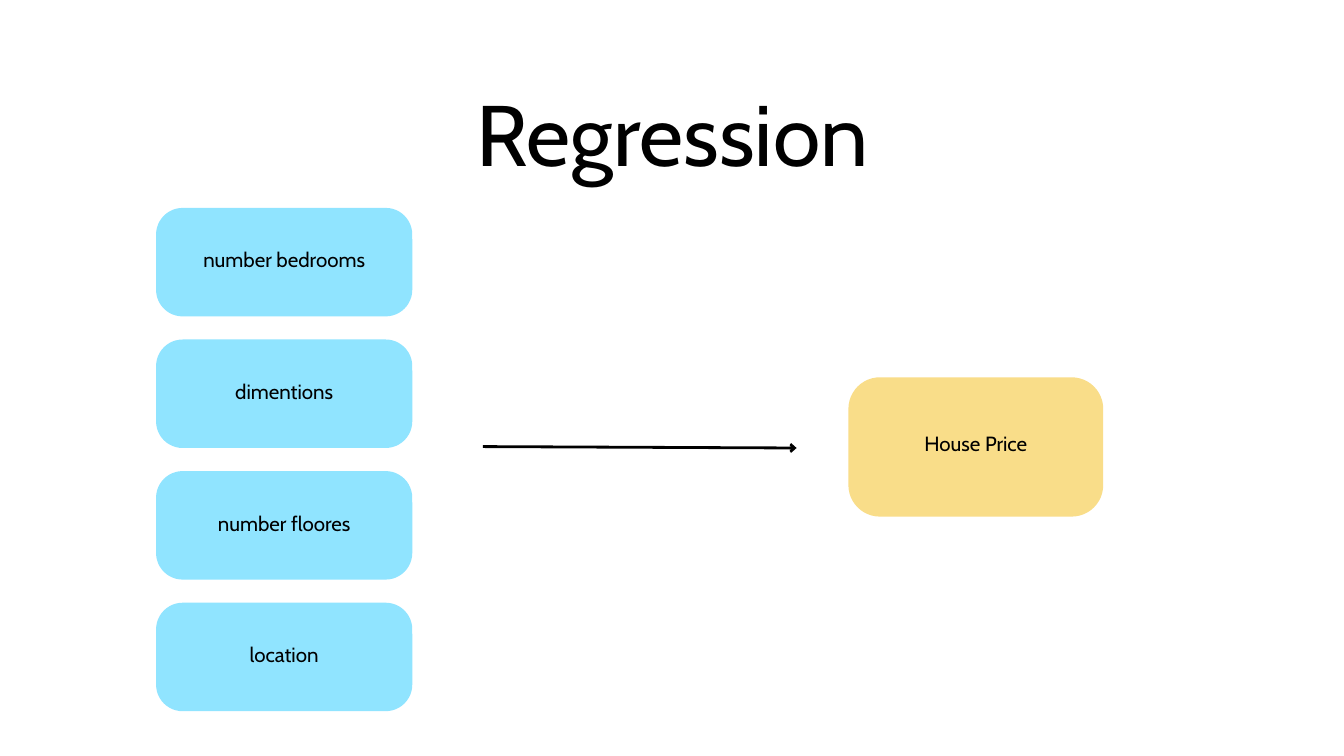
from lxml import etree
from pptx import Presentation, util as u
from pptx.dml.color import RGBColor
from pptx.enum import shapes, text
from pptx.oxml.ns import qn

PX = 9525  # EMU per px, 96 px to the inch


def style_text(frame, wording, size, line_spacing):
    """Write one centred black paragraph into a text frame."""
    frame.word_wrap = True
    paragraph = frame.paragraphs[0]
    paragraph.text = wording
    paragraph.alignment = text.PP_ALIGN.CENTER
    paragraph.line_spacing = u.Pt(line_spacing)
    paragraph.font.name = "Cabin"
    paragraph.font.size = u.Pt(size)
    paragraph.font.color.rgb = RGBColor.from_string("000000")


def add_box(slide, wording, left, top, width, height, radius, lift, color):
    """Add a rounded box whose text area reaches lift px above its top edge."""
    shape = slide.shapes.add_shape(
        shapes.MSO_SHAPE.ROUNDED_RECTANGLE,
        left * PX, top * PX, width * PX, height * PX)
    shape.adjustments[0] = radius / height
    shape.shadow.inherit = False
    shape.fill.solid()
    shape.fill.fore_color.rgb = RGBColor.from_string(color)
    shape.line.fill.background()
    frame = shape.text_frame
    frame.vertical_anchor = text.MSO_ANCHOR.MIDDLE
    frame.margin_left = frame.margin_right = frame.margin_top = 6 * PX
    frame.margin_bottom = (6 + lift) * PX
    style_text(frame, wording, 22, 30.8)


presentation = Presentation()
presentation.slide_width = 1920 * PX
presentation.slide_height = 1080 * PX
slide = presentation.slides.add_slide(presentation.slide_layouts[6])

# Input features
features = ["number bedrooms", "dimentions", "number floores", "location"]
box_height, gap = 155, 33
for index, feature in enumerate(features):
    top = 297 + index * (box_height + gap)
    add_box(slide, feature, 223, top, 366, box_height, 38, 13, "90E4FF")

# Arrow from features to prediction
arrow = slide.shapes.add_connector(
    shapes.MSO_CONNECTOR.STRAIGHT, 690 * PX, 638 * PX, 1138 * PX, 640 * PX)
arrow.line.color.rgb = RGBColor.from_string("000000")
arrow.line.width = u.Pt(3)
etree.SubElement(arrow.line._get_or_add_ln(), qn("a:tailEnd"),
                 type="arrow", w="med", len="sm")
etree.SubElement(arrow._element.spPr, qn("a:effectLst"))

# Predicted value
add_box(slide, "House Price", 1212, 539, 364, 199, 45, 15, "F9DD89")

# Title
title = slide.shapes.add_textbox(632 * PX, 90 * PX, 657 * PX, 164 * PX)
frame = title.text_frame
frame.margin_left = frame.margin_right = 0
frame.margin_top = frame.margin_bottom = 0
frame.auto_size = text.MSO_AUTO_SIZE.SHAPE_TO_FIT_TEXT
style_text(frame, "Regression", 92, 128.8)

presentation.save("out.pptx")
